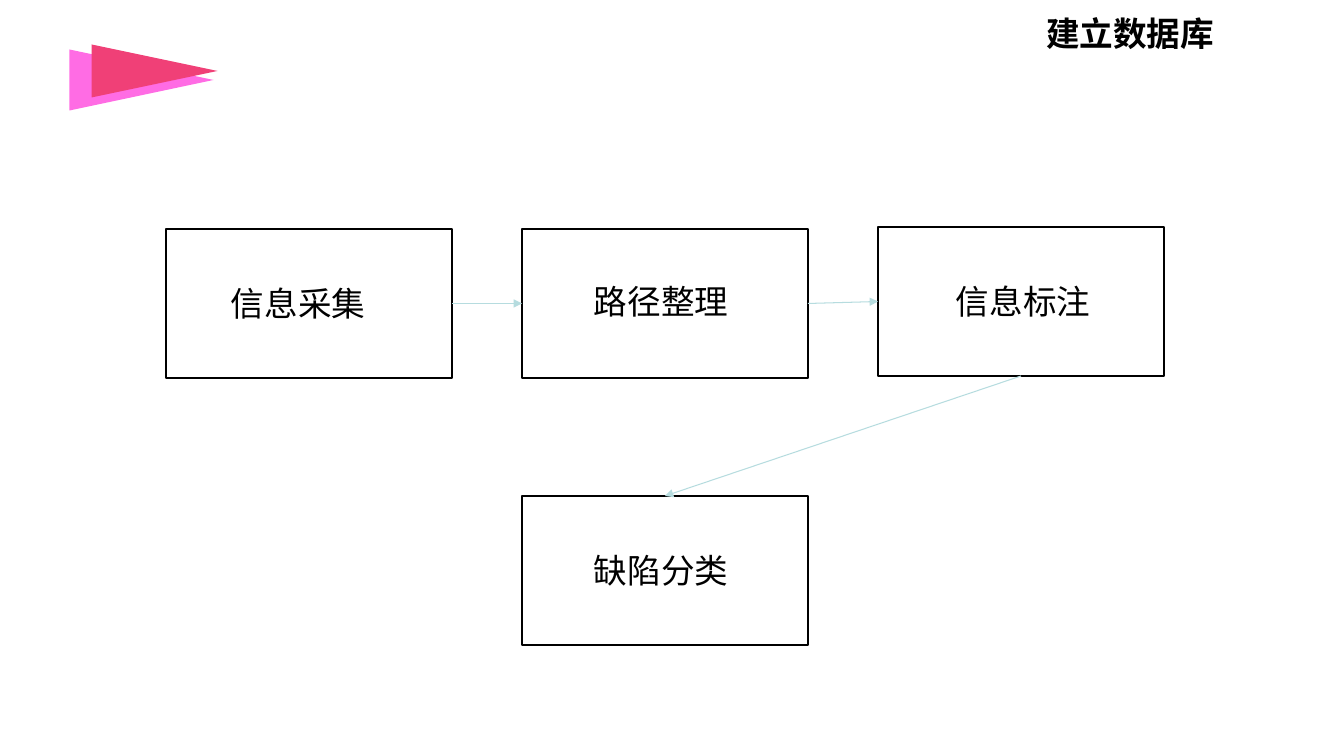
import pptx
import pptx.util
import pptx.dml.color
import pptx.enum.shapes
import pptx.enum.text
import pptx.oxml.ns
from lxml import etree

PX = 12192000 / 1344
BLACK = pptx.dml.color.RGBColor(0x00, 0x00, 0x00)
WHITE = pptx.dml.color.RGBColor(0xFF, 0xFF, 0xFF)
PINK = pptx.dml.color.RGBColor(0xFF, 0x6C, 0xE4)
RED = pptx.dml.color.RGBColor(0xF0, 0x40, 0x77)
PALE_TEAL = pptx.dml.color.RGBColor(0xB6, 0xDC, 0xDF)
SHAPES = pptx.enum.shapes.MSO_SHAPE


def px(*lengths):
    return [pptx.util.Emu(round(length * PX)) for length in lengths]


def write(holder, text, font_name, bold):
    frame = holder.text_frame
    frame.word_wrap = True
    frame.auto_size = pptx.enum.text.MSO_AUTO_SIZE.SHAPE_TO_FIT_TEXT
    frame.vertical_anchor = pptx.enum.text.MSO_ANCHOR.TOP
    frame.paragraphs[0].alignment = pptx.enum.text.PP_ALIGN.LEFT
    run = frame.paragraphs[0].add_run()
    run.text = text
    run.font.name = font_name
    run.font.size = pptx.util.Pt(24)
    run.font.bold = bold
    run.font.color.rgb = BLACK
    return run


deck = pptx.Presentation()
deck.slide_width, deck.slide_height = px(1344, 756)
slide = deck.slides.add_slide(deck.slide_layouts[5])

arrow_mark = slide.shapes.add_group_shape()
for left, top, width, height, color in [(111, 8, 61, 144, PINK), (128, 8, 53, 126, RED)]:
    triangle = arrow_mark.shapes.add_shape(
        SHAPES.ISOSCELES_TRIANGLE, *px(left, top, width, height))
    triangle.rotation = 90
    triangle.shadow.inherit = False
    triangle.fill.solid()
    triangle.fill.fore_color.rgb = color
    triangle.line.fill.background()

heading = slide.shapes.title
heading.left, heading.top, heading.width, heading.height = px(1036, 8, 260, 50)
heading_run = write(heading, "建立数据库", "Noto Sans CJK SC", True)
east_asian = etree.SubElement(heading_run.font._element, pptx.oxml.ns.qn("a:ea"))
east_asian.set("typeface", "Noto Sans CJK SC")

steps = [
    ("信息采集", 0, 229, 221, 278),
    ("路径整理", 1, 229, 584, 276),
    ("信息标注", 2, 227, 946, 276),
    ("缺陷分类", 1, 496, 584, 545),
]
boxes = []
for step, column, top, label_left, label_top in steps:
    box = slide.shapes.add_shape(SHAPES.RECTANGLE, *px(166 + 356 * column, top, 286, 149))
    box.shadow.inherit = False
    box.fill.solid()
    box.fill.fore_color.rgb = WHITE
    box.line.color.rgb = BLACK
    box.line.width = pptx.util.Pt(2)
    boxes.append(box)
    label = slide.shapes.add_textbox(*px(label_left, label_top, 176, 50))
    write(label, step, "Times New Roman", False)

for source, source_side, target, target_side in [(0, 3, 1, 1), (1, 3, 2, 1), (2, 2, 3, 0)]:
    flow = slide.shapes.add_connector(
        pptx.enum.shapes.MSO_CONNECTOR.STRAIGHT, *px(0, 0, 0, 0))
    flow.begin_connect(boxes[source], source_side)
    flow.end_connect(boxes[target], target_side)
    flow.line.color.rgb = PALE_TEAL
    flow.line.width = pptx.util.Pt(0.75)
    properties = flow._element.spPr
    arrowhead = etree.SubElement(
        properties.find(pptx.oxml.ns.qn("a:ln")), pptx.oxml.ns.qn("a:tailEnd"))
    arrowhead.set("type", "triangle")
    etree.SubElement(properties, pptx.oxml.ns.qn("a:effectLst"))

deck.save("out.pptx")
